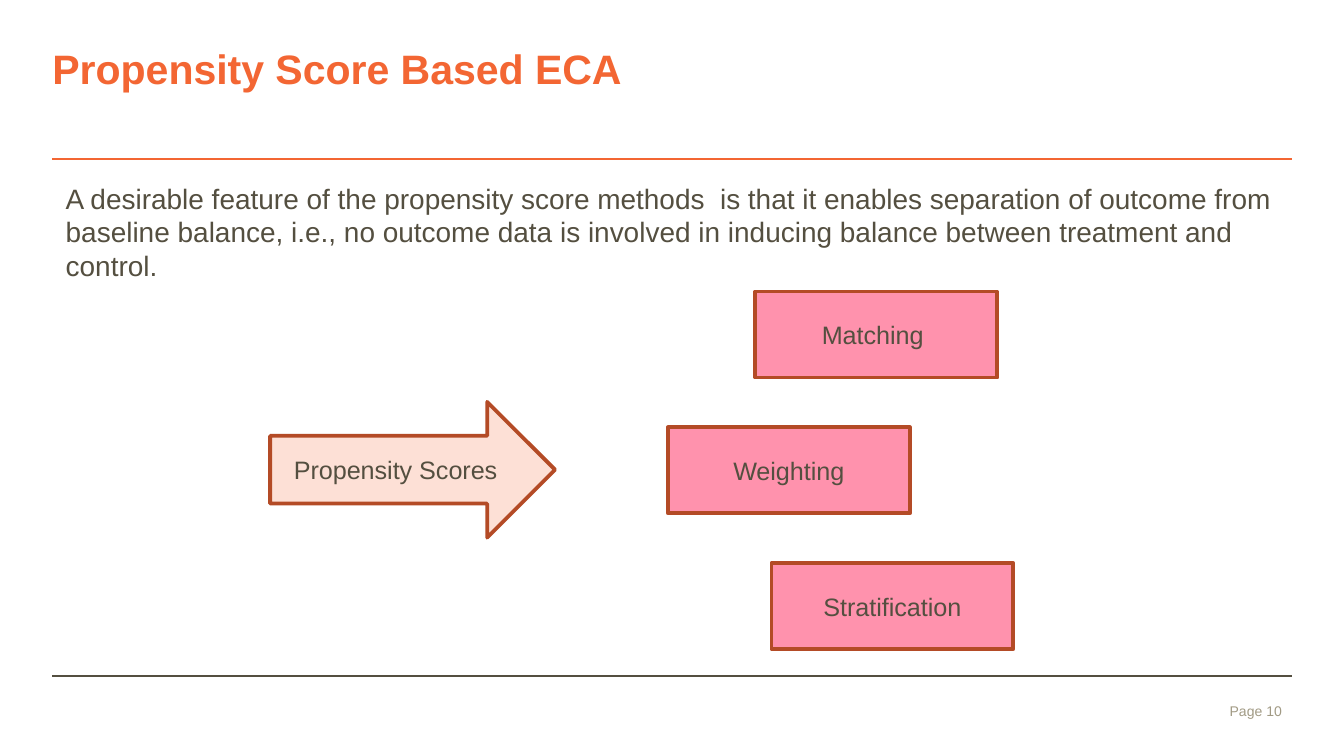
from dataclasses import dataclass

from lxml import etree
from pptx import Presentation
from pptx.dml.color import RGBColor
from pptx.enum.shapes import MSO_CONNECTOR, MSO_SHAPE
from pptx.enum.text import MSO_ANCHOR, MSO_AUTO_SIZE, PP_ALIGN
from pptx.oxml.ns import qn
from pptx.util import Inches, Pt

RECTANGLE, ARROW = MSO_SHAPE.RECTANGLE, MSO_SHAPE.RIGHT_ARROW
STRAIGHT = MSO_CONNECTOR.STRAIGHT
LEFT, CENTER, RIGHT = PP_ALIGN.LEFT, PP_ALIGN.CENTER, PP_ALIGN.RIGHT
TOP, MIDDLE, BOTTOM = MSO_ANCHOR.TOP, MSO_ANCHOR.MIDDLE, MSO_ANCHOR.BOTTOM
NO_FIT = MSO_AUTO_SIZE.NONE

WIDTH = 10
HEIGHT = WIDTH * 9 / 16
MARGIN = 0.39
CONTENT_WIDTH = WIDTH - 2 * MARGIN
TITLE_ONLY = 5
FONT = "Arial"
ORANGE, RUST, PEACH, PINK = "F36633", "B44B26", "FDE0D6", "FF92AD"
INK, MUTED = "544F40", "A19A84"

BOX_WIDTH, BOX_HEIGHT = 1.8, 0.64
FIRST_ROW, ROW_STEP = 2.17, 1.01


@dataclass(frozen=True)
class Block:
    """A labelled shape of the diagram, in inches."""
    label: str
    left: float
    top: float
    width: float = BOX_WIDTH
    height: float = BOX_HEIGHT
    preset: MSO_SHAPE = RECTANGLE
    fill: str = PINK


METHODS = [("Matching ", 5.62), ("Weighting", 4.97), ("Stratification", 5.74)]
BLOCKS = [Block(label, left, FIRST_ROW + row * ROW_STEP)
          for row, (label, left) in enumerate(METHODS)]
BLOCKS.insert(1, Block("Propensity Scores", 2.01, 2.99, 2.12, 1.01, ARROW, PEACH))


def color(value: str) -> RGBColor:
    """Turn a hex string into a colour."""
    return RGBColor.from_string(value)


def write(shape, text: str, *, size: float, ink: str = INK, bold: bool = False,
          align=LEFT, anchor=TOP, insets=(0.1, 0.05, 0.1, 0.05),
          after: float = 0) -> None:
    """Put one formatted paragraph into a shape."""
    frame = shape.text_frame
    frame.word_wrap = True
    frame.auto_size = NO_FIT
    frame.vertical_anchor = anchor
    (frame.margin_left, frame.margin_top,
     frame.margin_right, frame.margin_bottom) = map(Inches, insets)
    para = frame.paragraphs[0]
    para.alignment = align
    para.space_before, para.space_after = Pt(0), Pt(after)
    span = para.add_run()
    span.text = text
    span.font.name, span.font.size, span.font.bold = FONT, Pt(size), bold
    span.font.color.rgb = color(ink)


def add_rule(page, top: float, ink: str) -> None:
    """Draw a horizontal line between the margins."""
    rule = page.shapes.add_connector(
        STRAIGHT, Inches(MARGIN), Inches(top), Inches(WIDTH - MARGIN), Inches(top))
    rule.line.color.rgb = color(ink)
    rule.line.width = Pt(1)
    etree.SubElement(rule._element.spPr, qn("a:effectLst"))


def add_block(page, block: Block) -> None:
    """Draw one labelled shape of the diagram."""
    shape = page.shapes.add_shape(
        block.preset, Inches(block.left), Inches(block.top),
        Inches(block.width), Inches(block.height))
    shape.shadow.inherit = False
    shape.fill.solid()
    shape.fill.fore_color.rgb = color(block.fill)
    shape.line.color.rgb = color(RUST)
    shape.line.width = Pt(2)
    write(shape, block.label, size=13.5, align=CENTER, anchor=MIDDLE)


def add_title(page, text: str) -> None:
    """Place and fill the title placeholder."""
    title = page.shapes.title
    title.left, title.top = Inches(MARGIN), Inches(0.32)
    title.width, title.height = Inches(8.29), Inches(0.37)
    write(title, text, size=22, ink=ORANGE, bold=True, anchor=BOTTOM,
          insets=(0, 0, 0, 0))


def add_text(page, text: str, left: float, top: float, width: float,
             height: float, **text_format) -> None:
    """Add a text box with one paragraph."""
    box = page.shapes.add_textbox(
        Inches(left), Inches(top), Inches(width), Inches(height))
    write(box, text, **text_format)


def build() -> None:
    """Build the slide and save the deck."""
    deck = Presentation()
    deck.slide_width, deck.slide_height = Inches(WIDTH), Inches(HEIGHT)
    page = deck.slides.add_slide(deck.slide_layouts[TITLE_ONLY])
    add_rule(page, 5.03, INK)
    add_rule(page, 1.18, ORANGE)
    add_title(page, "Propensity Score Based ECA")
    add_text(page, "Page 10", 8.7, 5.14, 0.91, 0.3, size=7.5, ink=MUTED,
             align=RIGHT, anchor=MIDDLE, insets=(0.07, 0.04, 0.07, 0.04))
    add_text(page, "A desirable feature of the propensity score methods  is that "
             "it enables separation of outcome from baseline balance, i.e., no "
             "outcome data is involved in inducing balance between treatment "
             "and control. ", MARGIN, 1.3, CONTENT_WIDTH, 3.36,
             size=15, after=6)
    for block in BLOCKS:
        add_block(page, block)
    deck.save("out.pptx")


build()
